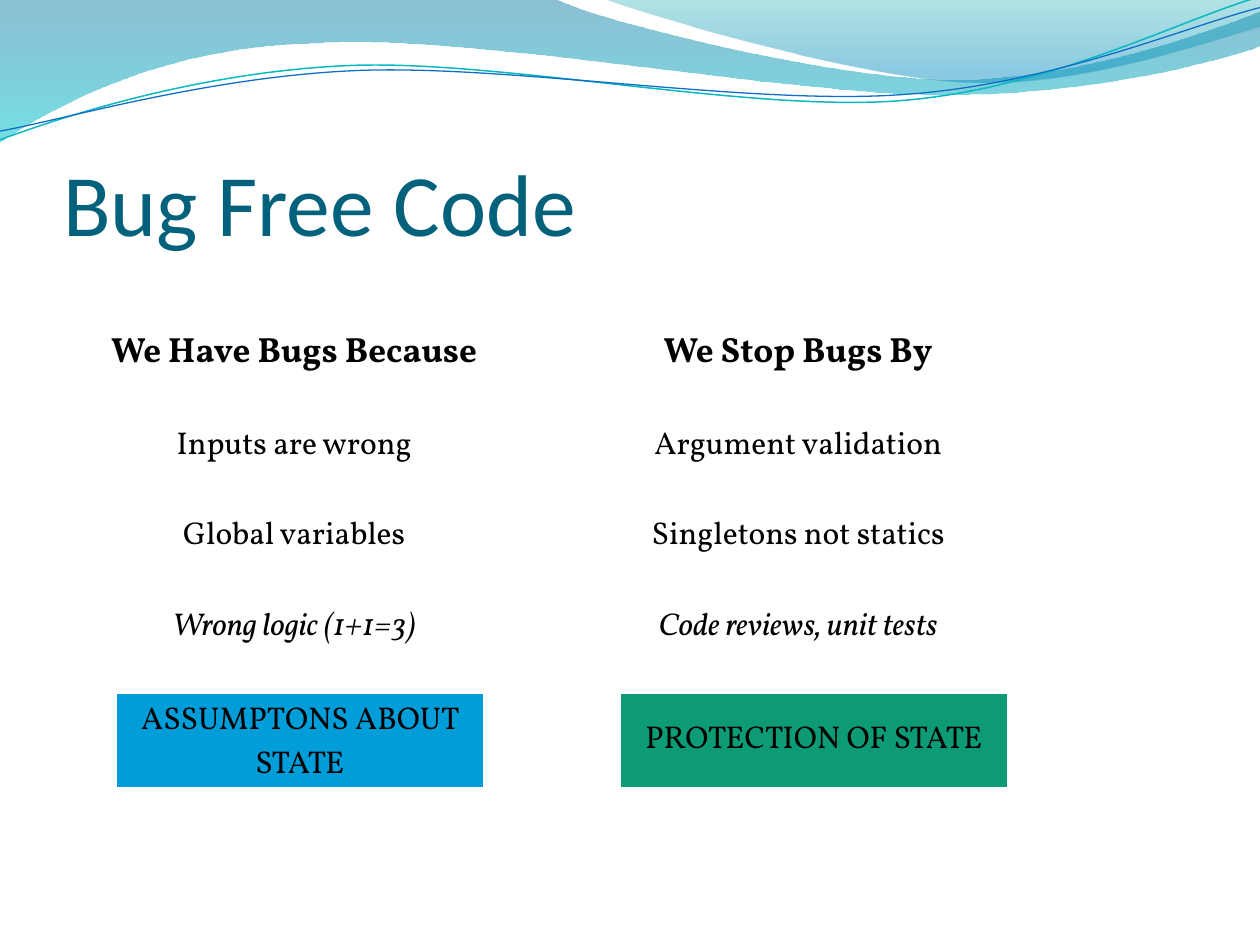
from math import cos, radians, sin

from lxml.etree import SubElement
from pptx import Presentation
from pptx.dml.color import RGBColor
from pptx.enum.text import MSO_ANCHOR, PP_ALIGN
from pptx.oxml.ns import qn
from pptx.util import Inches, Pt

WHITE = RGBColor(0xFF, 0xFF, 0xFF)
BLACK = RGBColor(0x00, 0x00, 0x00)
TITLE_TEAL = RGBColor(0x04, 0x61, 0x7B)
DEEP_BLUE = RGBColor(0x00, 0x74, 0xA1)
CYAN = RGBColor(0x00, 0xC6, 0xCF)
SEA_GREEN = RGBColor(0x00, 0xA1, 0xA9)
SKY_BLUE = RGBColor(0x00, 0x8B, 0xBF)
LINE_TEAL = RGBColor(0x0A, 0xB8, 0xBF)
LINE_BLUE = RGBColor(0x0F, 0x6F, 0xC6)
STATE_BLUE = RGBColor(0x00, 0x9D, 0xD9)
STATE_GREEN = RGBColor(0x0C, 0x9B, 0x74)

BODY_FONT = "Vollkorn"
STROKE_TILT = 2.7
STROKE_CENTER = (4.99, 0.58)
HEADING_HEIGHT, ROW_HEIGHT = 0.58, 0.29

BANDS = [
    ([[(0, 0)], [(4.4, -0.01)],
      [(4.76, 0.17), (6.64, 0.63), (7.58, 0.63)],
      [(8.53, 0.63), (9.58, 0.26), (10, 0.09)], [(10.01, 0.36)],
      [(9.83, 0.44), (8.7, 0.76), (7.46, 0.75)],
      [(6.22, 0.75), (3.82, 0.28), (2.57, 0.34)],
      [(1.29, 0.36), (0.46, 0.83), (-0.01, 1.13)]],
     [(0, DEEP_BLUE, 45), (1, CYAN, 55)]),
    ([[(4.79, -0.01)],
      [(5.09, 0.11), (6.82, 0.62), (7.69, 0.65)],
      [(8.56, 0.69), (9.61, 0.32), (10, 0.21)], [(10, 0)]],
     [(0, SEA_GREEN, 30), (0.8, SKY_BLUE, 45)]),
]
STROKES = [
    ([[(0, 1.11)], [(0.48, 0.93), (1.58, 0.57), (2.77, 0.52)],
      [(3.95, 0.47), (5.93, 0.89), (7.13, 0.8)],
      [(8.33, 0.71), (9.38, 0.15), (9.98, -0.02)]], LINE_TEAL, 0.85),
    ([[(0, 1.04)], [(0.47, 0.96), (1.64, 0.61), (2.83, 0.56)],
      [(4.03, 0.51), (5.97, 0.84), (7.17, 0.75)],
      [(8.36, 0.67), (9.41, 0.21), (10, 0.06)]], LINE_BLUE, 0.75),
]


def untilt(point):
    dx, dy = (value - middle for value, middle in zip(point, STROKE_CENTER))
    tilt = radians(STROKE_TILT)
    return (STROKE_CENTER[0] + dx * cos(tilt) - dy * sin(tilt),
            STROKE_CENTER[1] + dx * sin(tilt) + dy * cos(tilt))


def add_curve(shapes, box, segments, close):
    left, top = box
    points = [(Inches(left + x), Inches(top + y))
              for segment in segments for x, y in segment]
    builder = shapes.build_freeform(*points[0], scale=1.0)
    builder.add_line_segments(points[1:], close=close)
    curve = builder.convert_to_shape()
    curve.shadow.inherit = False
    steps = iter(list(curve._element.iter(qn("a:lnTo"))))
    for segment in segments[1:]:
        parts = [next(steps) for _ in segment]
        if len(parts) == 3:
            parts[0].tag = qn("a:cubicBezTo")
            for part in parts[1:]:
                parts[0].append(part[0])
                part.getparent().remove(part)
    return curve


def add_waves(slide, box):
    for segments, shades in BANDS:
        band = add_curve(slide.shapes, box, segments, True)
        band.line.fill.background()
        band.fill.gradient()
        band.fill.gradient_angle = 270
        for stop, (position, color, _) in zip(band.fill.gradient_stops, shades):
            stop.position = position
            stop.color.rgb = color
        tints = band._element.spPr.iter(qn("a:srgbClr"))
        for tint, (_, _, opacity) in zip(tints, shades):
            SubElement(tint, qn("a:alpha"), val=str(opacity * 1000))
    ribbon = slide.shapes.add_group_shape()
    for segments, color, width in STROKES:
        level = [[untilt(point) for point in segment] for segment in segments]
        stroke = add_curve(ribbon.shapes, box, level, False)
        stroke.rotation = 360 - STROKE_TILT
        stroke.fill.background()
        stroke.line.color.rgb = color
        stroke.line.width = Pt(width)


def move_waves_to_master(slide, master):
    waves = [shape._element for shape in slide.shapes if not shape.is_placeholder]
    for position, wave in enumerate(waves, start=2):
        for identity in wave.iter(qn("p:cNvPr")):
            identity.set("id", str(100 + int(identity.get("id"))))
        master.shapes._spTree.insert(position, wave)


def place(target, box):
    for side, length in zip(("left", "top", "width", "height"), box):
        setattr(target, side, Inches(length))


def apply(target, formats):
    for name, value in formats.items():
        setattr(target, name, value)


def add_title(slide, box, wording):
    title = slide.shapes.title
    place(title, box)
    frame = title.text_frame
    frame.text = wording
    apply(frame, {"margin_left": 0, "margin_right": 0, "margin_top": Inches(0.05),
                  "margin_bottom": 0, "vertical_anchor": MSO_ANCHOR.BOTTOM,
                  "word_wrap": True})
    heading = frame.paragraphs[0]
    heading.alignment = PP_ALIGN.LEFT
    apply(heading.runs[0].font, {"name": "Calibri", "size": Pt(50)})
    heading.runs[0].font.color.rgb = TITLE_TEAL


def format_cell(cell, wording, fill=None, anchor=MSO_ANCHOR.BOTTOM, **style):
    margin = Inches(0.01)
    apply(cell, {"margin_left": margin, "margin_right": margin, "margin_top": margin,
                 "margin_bottom": 0, "vertical_anchor": anchor})
    for edge in ("a:lnL", "a:lnR", "a:lnT", "a:lnB"):
        border = SubElement(cell._tc.get_or_add_tcPr(), qn(edge), w=str(Pt(1)))
        SubElement(SubElement(border, qn("a:solidFill")), qn("a:srgbClr"), val=str(WHITE))
    if fill is None:
        cell.fill.background()
    else:
        cell.fill.solid()
        cell.fill.fore_color.rgb = fill
    paragraph = cell.text_frame.paragraphs[0]
    paragraph.alignment = PP_ALIGN.CENTER
    if wording:
        run = paragraph.add_run()
        run.text = wording
        apply(run.font, {"name": BODY_FONT, "size": Pt(18), "bold": False,
                         "italic": False} | style)
        run.font.color.rgb = BLACK
    else:
        blank = SubElement(paragraph._p, qn("a:endParaRPr"), sz="1800")
        SubElement(blank, qn("a:latin"), typeface=BODY_FONT)


def add_plain_table(slide, box, row_count):
    table = slide.shapes.add_table(row_count, 1, *map(Inches, box)).table
    apply(table, {"first_row": False, "horz_banding": False})
    return table


def add_list_table(slide, box, heading, items):
    table = add_plain_table(slide, box, 1 + 2 * len(items))
    for row in table.rows:
        row.height = Inches(ROW_HEIGHT)
    table.rows[0].height = Inches(HEADING_HEIGHT)
    format_cell(table.cell(0, 0), heading, size=Pt(20), bold=True)
    for index, item in enumerate(items):
        format_cell(table.cell(2 * index + 1, 0), "")
        format_cell(table.cell(2 * index + 2, 0), item, italic=item == items[-1])


def add_state_table(slide, box, wording, fill, anchor):
    format_cell(add_plain_table(slide, box, 1).cell(0, 0), wording, fill, anchor)


def main():
    deck = Presentation()
    deck.slide_width, deck.slide_height = Inches(10), Inches(7.5)
    slide = deck.slides.add_slide(deck.slide_layouts[5])
    add_waves(slide, (0, 0))
    move_waves_to_master(slide, deck.slide_master)
    add_title(slide, (0.5, 0.77, 9, 1.25), "Bug Free Code")
    add_list_table(slide, (0.75, 2.42, 3.17, 2.45), "We Have Bugs Because",
                   ["Inputs are wrong", "Global variables", "Wrong logic (1+1=3)"])
    add_list_table(slide, (4.75, 2.42, 3.17, 2.45), "We Stop Bugs By",
                   ["Argument validation", "Singletons not statics",
                    "Code reviews, unit tests"])
    add_state_table(slide, (0.92, 5.5, 2.92, 0.75), "ASSUMPTONS ABOUT STATE",
                    STATE_BLUE, MSO_ANCHOR.BOTTOM)
    add_state_table(slide, (4.92, 5.5, 3.08, 0.75), "PROTECTION OF STATE",
                    STATE_GREEN, MSO_ANCHOR.MIDDLE)
    deck.save("out.pptx")


if __name__ == "__main__":
    main()
